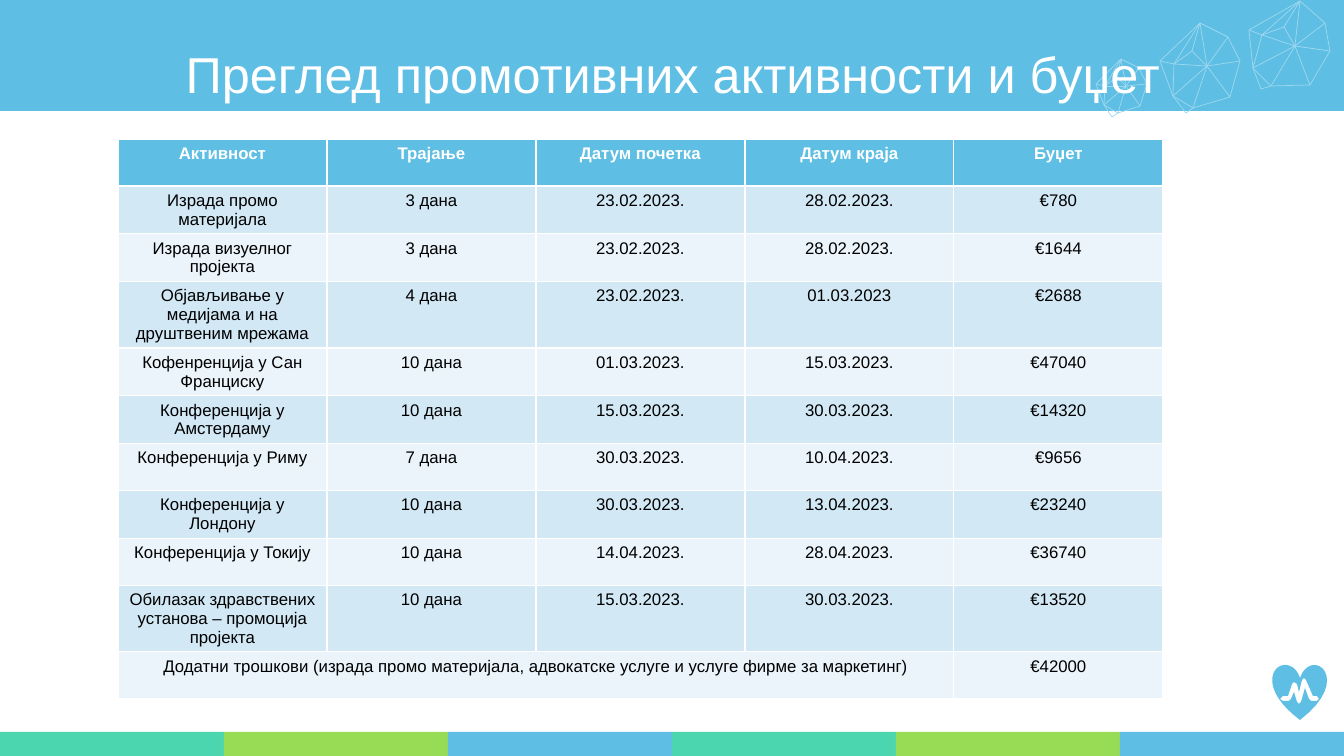
"""Build the slide on promotional activities and their budget."""
import dataclasses
import itertools

import lxml.etree
import pptx
import pptx.dml.color
import pptx.enum.shapes
import pptx.enum.text
import pptx.oxml.ns
import pptx.shapes.autoshape
import pptx.shapes.shapetree
import pptx.table
import pptx.util

SCALE = 12192000 / 1344
FONT = "Arial"
BLUE = pptx.dml.color.RGBColor(0x5E, 0xBE, 0xE4)
TEAL = pptx.dml.color.RGBColor(0x4C, 0xD6, 0xB0)
LIME = pptx.dml.color.RGBColor(0x98, 0xDC, 0x56)
PALE = pptx.dml.color.RGBColor(0x9E, 0xD8, 0xEF)
DARK = pptx.dml.color.RGBColor(0xD2, 0xE8, 0xF5)
LIGHT = pptx.dml.color.RGBColor(0xEA, 0xF4, 0xFA)
WHITE = pptx.dml.color.RGBColor(0xFF, 0xFF, 0xFF)
BLACK = pptx.dml.color.RGBColor(0x00, 0x00, 0x00)

Point = tuple[float, float]
Shapes = pptx.shapes.shapetree.SlideShapes


@dataclasses.dataclass(frozen=True)
class Box:
    """A filled rectangle, in px."""

    left: int
    top: int
    width: int
    height: int
    fill: pptx.dml.color.RGBColor


@dataclasses.dataclass(frozen=True)
class Gem:
    """The corners of a wire gem, in px."""

    hub: Point
    inner: Point
    low: Point
    top: Point
    crown: Point
    base: Point
    foot: Point
    right: Point
    mid: Point
    tail: Point
    left: Point


@dataclasses.dataclass(frozen=True)
class Task:
    """One row of the budget table."""

    name: str
    span: str
    start: str
    end: str
    cost: str


BOXES = [Box(224 * i, 732, 224, 24, (TEAL, LIME, BLUE)[i % 3]) for i in range(6)]
BOXES.append(Box(0, -6, 1344, 117, BLUE))

GEMS = [
    Gem((1295, 46), (1262, 35), (1253, 68), (1300, 1), (1325, 23), (1271, 86),
        (1310, 85), (1330, 51), (1284, 27), (1261, 89), (1249, 30)),
    Gem((1207, 66), (1174, 64), (1173, 96), (1200, 23), (1228, 37), (1193, 108),
        (1230, 97), (1240, 61), (1192, 51), (1186, 113), (1160, 61)),
    Gem((1126, 86), (1105, 86), (1104, 105), (1121, 59), (1139, 68), (1118, 113),
        (1140, 106), (1147, 84), (1117, 77), (1112, 117), (1096, 84)),
]
EDGES = {
    "hub": "inner low top crown base foot right mid",
    "top": "inner crown mid left",
    "low": "inner base left tail",
    "inner": "mid left",
    "base": "foot tail",
    "right": "foot crown",
}

HEART = [
    ((1285, 665), (1291, 665), (1297, 669), (1300, 678)),
    ((1300, 678), (1311, 646), (1355, 678), (1300, 720)),
    ((1300, 720), (1260, 690), (1271, 665), (1285, 665)),
]
PULSE = [
    (1304, 678), (1302, 680), (1299, 692), (1297, 684), (1294, 682), (1292, 684),
    (1288, 696), (1283, 696), (1280, 699), (1283, 701), (1289, 701), (1291, 699),
    (1294, 692), (1297, 702), (1299, 704), (1301, 702), (1305, 688), (1309, 699),
    (1311, 701), (1317, 701), (1319, 699), (1317, 696), (1313, 696), (1306, 680),
]

TASKS = [
    Task("Активност", "Трајање", "Датум почетка", "Датум краја", "Буџет"),
    Task("Израда промо материјала", "3 дана", "23.02.2023.", "28.02.2023.", "€780"),
    Task("Израда визуелног пројекта", "3 дана", "23.02.2023.", "28.02.2023.", "€1644"),
    Task("Објављивање у медијама и на друштвеним мрежама", "4 дана",
         "23.02.2023.", "01.03.2023", "€2688"),
    Task("Кофенренција у Сан Франциску", "10 дана", "01.03.2023.", "15.03.2023.", "€47040"),
    Task("Конференција у Амстердаму", "10 дана", "15.03.2023.", "30.03.2023.", "€14320"),
    Task("Конференција у Риму", "7 дана", "30.03.2023.", "10.04.2023.", "€9656"),
    Task("Конференција у Лондону", "10 дана", "30.03.2023.", "13.04.2023.", "€23240"),
    Task("Конференција у Токију", "10 дана", "14.04.2023.", "28.04.2023.", "€36740"),
    Task("Обилазак здравствених установа – промоција пројекта", "10 дана",
         "15.03.2023.", "30.03.2023.", "€13520"),
    Task("Додатни трошкови (израда промо материјала, адвокатске услуге и услуге "
         "фирме за маркетинг)", "", "", "", "€42000"),
]


def px(*sizes: float) -> list[pptx.util.Emu]:
    """Turn px into EMU."""
    return [pptx.util.Emu(round(size * SCALE)) for size in sizes]


def paint(shape: pptx.shapes.autoshape.Shape, fill: pptx.dml.color.RGBColor) -> None:
    """Give a shape a plain fill with no line or shadow."""
    shape.shadow.inherit = False
    shape.fill.solid()
    shape.fill.fore_color.rgb = fill
    shape.line.fill.background()


def draw_box(shapes: Shapes, box: Box) -> None:
    """Draw a filled rectangle."""
    kind = pptx.enum.shapes.MSO_SHAPE.RECTANGLE
    paint(shapes.add_shape(kind, *px(box.left, box.top, box.width, box.height)), box.fill)


def draw_gem(shapes: Shapes, gem: Gem) -> None:
    """Draw the edges of a gem as one group."""
    group = shapes.add_group_shape()
    for start, ends in EDGES.items():
        for end in ends.split():
            line = group.shapes.add_connector(
                pptx.enum.shapes.MSO_CONNECTOR.STRAIGHT,
                *px(*getattr(gem, start), *getattr(gem, end)))
            line.line.color.rgb = PALE
            line.line.width = pptx.util.Pt(0.5)
            props = line._element.spPr
            lxml.etree.SubElement(props, pptx.oxml.ns.qn("a:effectLst"))


def trace(curve: tuple[Point, ...], steps: int = 16) -> list[Point]:
    """Return points along a cubic curve."""
    parts = [i / steps for i in range(steps)]
    return [
        tuple((1 - t) ** 3 * a + 3 * t * (1 - t) ** 2 * b + 3 * t * t * (1 - t) * c + t ** 3 * d
              for a, b, c, d in zip(*curve))
        for t in parts
    ]


def draw_heart(shapes: Shapes) -> None:
    """Draw the heart with the pulse cut out."""
    rim = list(itertools.chain.from_iterable(map(trace, HEART)))
    form = shapes.build_freeform(*px(*rim[0]), scale=1.0)
    form.add_line_segments([px(*spot) for spot in rim[1:]])
    form.move_to(*px(*PULSE[0]))
    form.add_line_segments([px(*spot) for spot in PULSE[1:]])
    paint(form.convert_to_shape(), BLUE)


def set_title(shapes: Shapes) -> None:
    """Place and style the title in front of the band."""
    title = shapes.title
    title.left, title.top, title.width, title.height = px(35, 37, 1276, 80)
    frame = title.text_frame
    frame.text = "Преглед промотивних активности и буџет"
    frame.auto_size = pptx.enum.text.MSO_AUTO_SIZE.NONE
    frame.vertical_anchor = pptx.enum.text.MSO_ANCHOR.MIDDLE
    para = frame.paragraphs[0]
    para.alignment = pptx.enum.text.PP_ALIGN.CENTER
    para.line_spacing = 0.9
    para.space_before = pptx.util.Pt(10)
    para.font.name, para.font.size = FONT, pptx.util.Pt(36)
    para.font.color.rgb = WHITE
    shapes._spTree.append(title._element)


def fill_cell(cell: pptx.table._Cell, text: str, row: int) -> None:
    """Write and style one table cell."""
    cell.text = text
    cell.fill.solid()
    cell.fill.fore_color.rgb = BLUE if row == 0 else DARK if row % 2 else LIGHT
    para = cell.text_frame.paragraphs[0]
    para.alignment = pptx.enum.text.PP_ALIGN.CENTER
    para.font.name, para.font.size = FONT, pptx.util.Pt(12)
    para.font.bold = row == 0
    para.font.color.rgb = BLACK if row else WHITE


def draw_table(shapes: Shapes) -> None:
    """Draw the budget table."""
    count, last = len(TASKS), len(TASKS) - 1
    table = shapes.add_table(count, 5, *px(118, 139, 5 * 209, count * 47)).table
    for row, task in enumerate(TASKS):
        for col, text in enumerate(dataclasses.astuple(task)):
            fill_cell(table.cell(row, col), text, row)
    table.cell(last, 0).merge(table.cell(last, 3))


def main() -> None:
    """Build and save the slide."""
    deck = pptx.Presentation()
    deck.slide_width, deck.slide_height = px(1344, 756)
    shapes = deck.slides.add_slide(deck.slide_layouts[5]).shapes
    for box in BOXES:
        draw_box(shapes, box)
    for gem in GEMS:
        draw_gem(shapes, gem)
    draw_heart(shapes)
    set_title(shapes)
    draw_table(shapes)
    deck.save("out.pptx")


if __name__ == "__main__":
    main()
